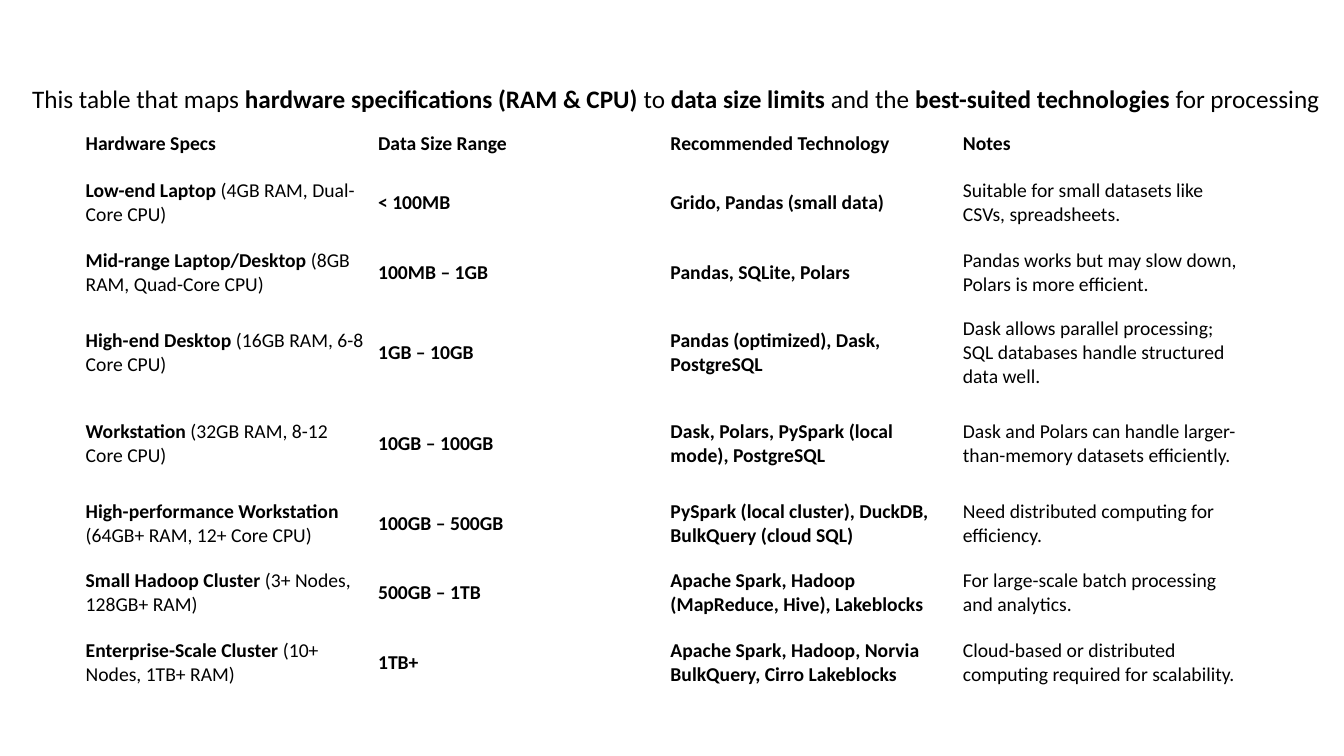
from pptx import Presentation
from pptx.dml.color import RGBColor
from pptx.enum.text import MSO_ANCHOR, MSO_AUTO_SIZE
from pptx.util import Inches, Pt

BLACK = RGBColor(0, 0, 0)
FONT = "Calibri"
NO_GRID_STYLE = "{2D5ABB26-0587-4C30-8999-92F81FD0307C}"

INTRO = [
    ("This table that maps ", False),
    ("hardware specifications (RAM & CPU)", True),
    (" to ", False),
    ("data size limits", True),
    (" and the ", False),
    ("best-suited technologies", True),
    (" for processing", False),
]

HEADINGS = ["Hardware Specs", "Data Size Range", "Recommended Technology", "Notes"]

TIERS = [
    ("Low-end Laptop", " (4GB RAM, Dual-Core CPU)", "< 100MB",
     "Grido, Pandas (small data)",
     "Suitable for small datasets like CSVs, spreadsheets."),
    ("Mid-range Laptop/Desktop", " (8GB RAM, Quad-Core CPU)", "100MB – 1GB",
     "Pandas, SQLite, Polars",
     "Pandas works but may slow down, Polars is more efficient."),
    ("High-end Desktop", " (16GB RAM, 6-8 Core CPU)", "1GB – 10GB",
     "Pandas (optimized), Dask, PostgreSQL",
     "Dask allows parallel processing; SQL databases handle structured data well."),
    ("Workstation", " (32GB RAM, 8-12 Core CPU)", "10GB – 100GB",
     "Dask, Polars, PySpark (local mode), PostgreSQL",
     "Dask and Polars can handle larger-than-memory datasets efficiently."),
    ("High-performance Workstation", " (64GB+ RAM, 12+ Core CPU)", "100GB – 500GB",
     "PySpark (local cluster), DuckDB, BulkQuery (cloud SQL)",
     "Need distributed computing for efficiency."),
    ("Small Hadoop Cluster", " (3+ Nodes, 128GB+ RAM)", "500GB – 1TB",
     "Apache Spark, Hadoop (MapReduce, Hive), Lakeblocks",
     "For large-scale batch processing and analytics."),
    ("Enterprise-Scale Cluster", " (10+ Nodes, 1TB+ RAM)", "1TB+",
     "Apache Spark, Hadoop, Norvia BulkQuery, Cirro Lakeblocks",
     "Cloud-based or distributed computing required for scalability."),
]

COLUMN_WIDTH = 2.9
ROW_HEIGHTS = [0.48, 0.69, 0.69, 0.9, 0.9, 0.69, 0.69, 0.69]


def add_runs(paragraph, pieces, size):
    for text, bold in pieces:
        run = paragraph.add_run()
        run.text = text
        run.font.name = FONT
        run.font.size = Pt(size)
        run.font.bold = bold
        run.font.color.rgb = BLACK


def add_intro(slide):
    intro = slide.shapes.add_textbox(Inches(0.22), Inches(0.78), Inches(13.11), Inches(0.4))
    frame = intro.text_frame
    frame.word_wrap = True
    frame.auto_size = MSO_AUTO_SIZE.SHAPE_TO_FIT_TEXT
    add_runs(frame.paragraphs[0], INTRO, 18)


def fill_cell(cell, pieces):
    cell.fill.background()
    cell.vertical_anchor = MSO_ANCHOR.MIDDLE
    cell.margin_left = cell.margin_right = Inches(0.06)
    cell.margin_top = cell.margin_bottom = Inches(0.03)
    add_runs(cell.text_frame.paragraphs[0], pieces, 14)


def add_hardware_table(slide):
    rows = [[[(heading, True)] for heading in HEADINGS]]
    for name, specs, data_size, technology, note in TIERS:
        rows.append([[(name, True), (specs, False)], [(data_size, True)],
                     [(technology, True)], [(note, False)]])
    frame = slide.shapes.add_table(
        len(rows), len(HEADINGS), Inches(0.79), Inches(1.19),
        Inches(COLUMN_WIDTH * len(HEADINGS)), Inches(sum(ROW_HEIGHTS)))
    table = frame.table
    table.first_row = table.horz_banding = False
    table._tbl.tblPr[0].text = NO_GRID_STYLE
    for column in table.columns:
        column.width = Inches(COLUMN_WIDTH)
    for row, height, contents in zip(table.rows, ROW_HEIGHTS, rows):
        row.height = Inches(height)
        for cell, pieces in zip(row.cells, contents):
            fill_cell(cell, pieces)


def main():
    deck = Presentation()
    deck.slide_width = Inches(13.33)
    deck.slide_height = Inches(7.5)
    slide = deck.slides.add_slide(deck.slide_layouts[6])
    add_hardware_table(slide)
    add_intro(slide)
    deck.save("out.pptx")


if __name__ == "__main__":
    main()
